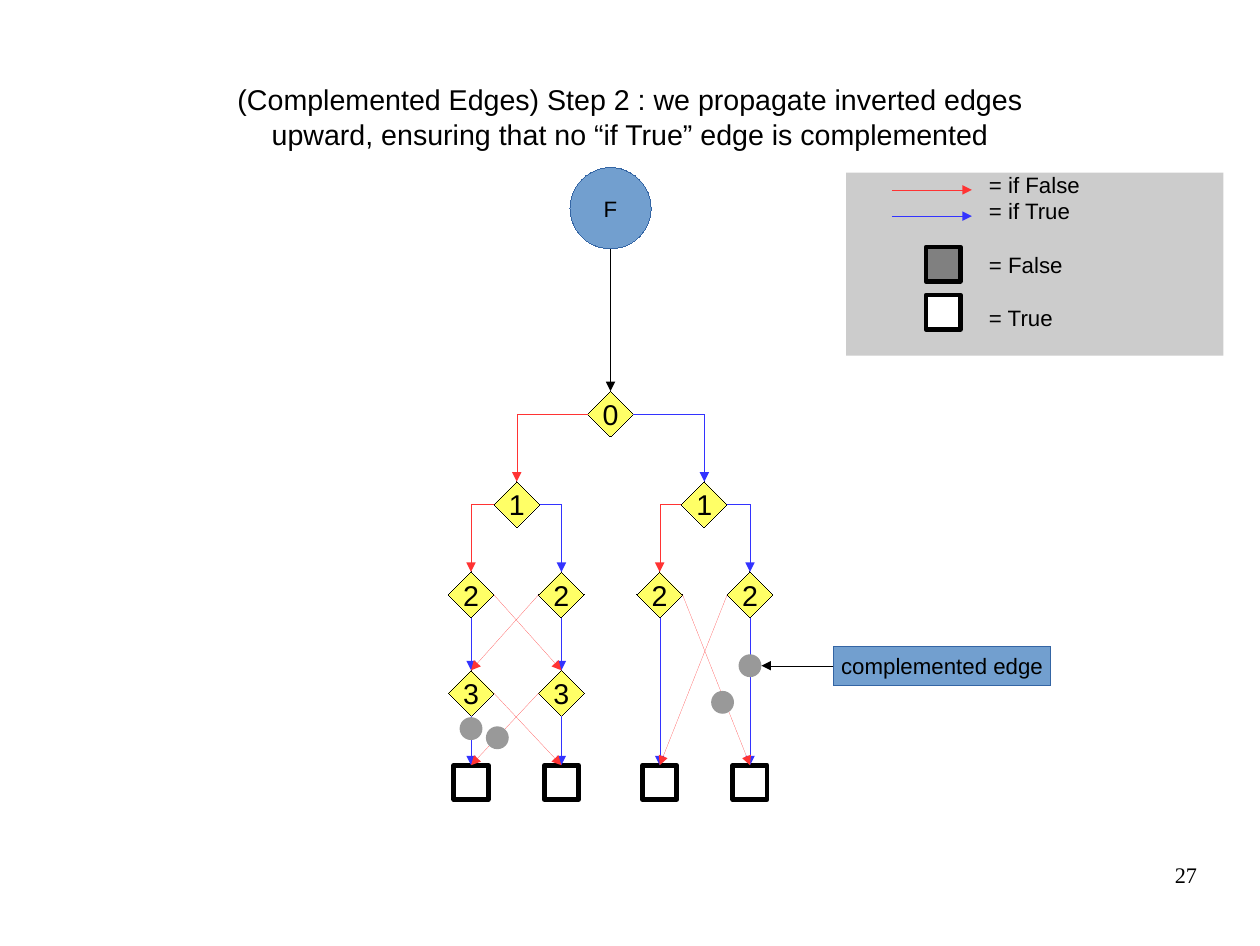
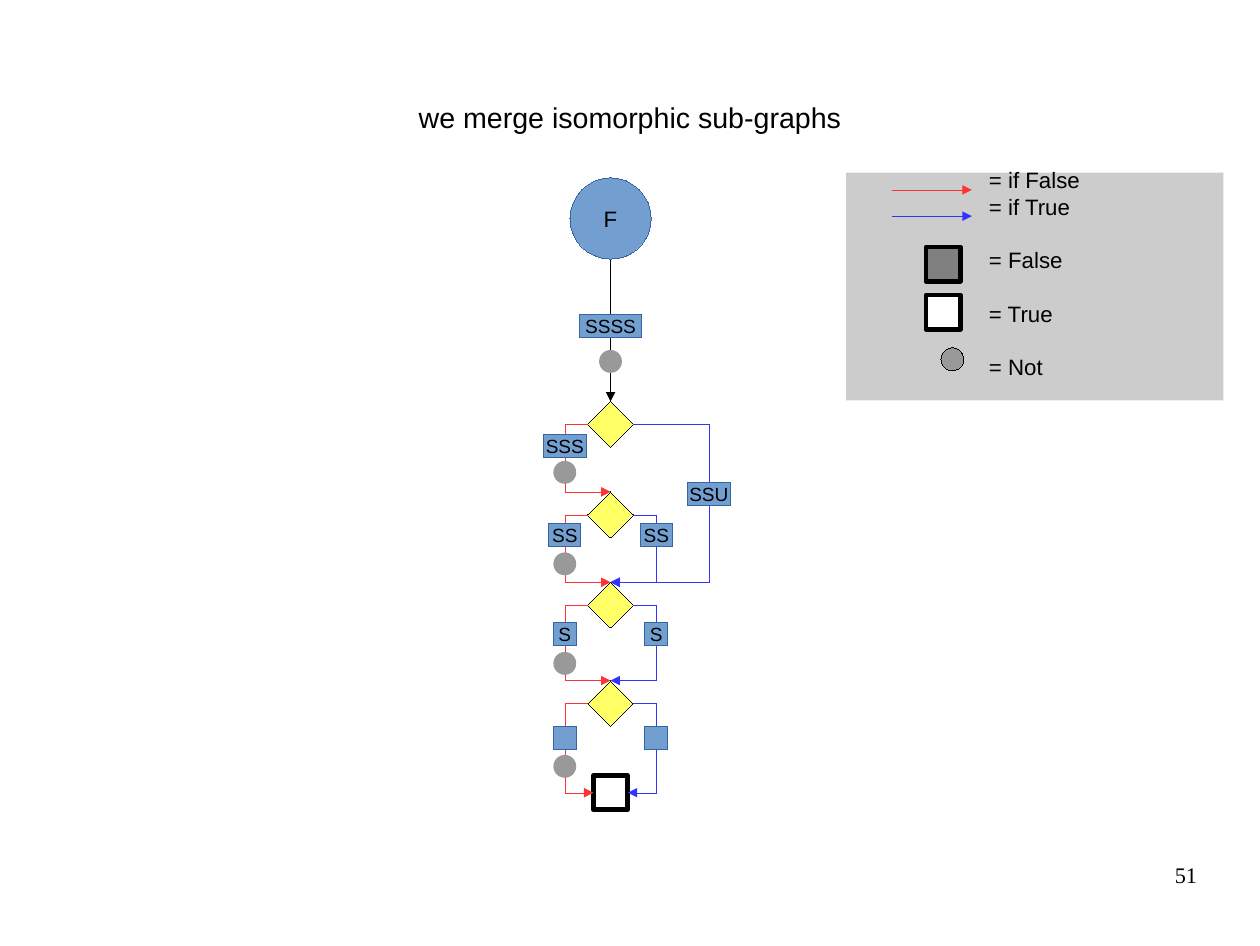
from dataclasses import dataclass

from lxml import etree
from pptx import Presentation
from pptx import util as u
from pptx.dml.color import RGBColor
from pptx.enum import shapes, text
from pptx.oxml.ns import qn


@dataclass(frozen=True)
class Theme:
    sans: str = "Arial"
    serif: str = "Times New Roman"
    black: str = "000000"
    white: str = "FFFFFF"
    blue: str = "729FCF"
    blue_edge: str = "3465A4"
    yellow: str = "FFFF66"
    panel: str = "CCCCCC"
    false_fill: str = "808080"
    inverter: str = "999999"
    if_true: str = "3333FF"
    if_false: str = "FF3333"
    title: int = 18
    label: int = 14
    tag: int = 12
    title_line: float = 22
    legend_line: float = 16.85


T = Theme()
FORM = shapes.MSO_SHAPE
TOP, LEFT, BOTTOM, RIGHT = range(4)
# Centre heights of the decision levels; the last one holds the terminals
LEVELS = (2.16, 2.95, 3.74, 4.6, 5.38)
COLUMNS = (0.2, 0.99, 1.85, 2.64)


def rgb(colour):
    return RGBColor.from_string(colour)


def style(frame, size, align, font=T.sans):
    for paragraph in frame.paragraphs:
        paragraph.alignment = align
        for run in paragraph.runs:
            run.font.size = u.Pt(size)
            run.font.name = font
            run.font.color.rgb = rgb(T.black)


def outline(shape, colour, width=0):
    """Set the line; a width of 0 is a hairline and must be explicit."""
    shape.line.color.rgb = rgb(colour)
    ln = shape.element.spPr.find(qn("a:ln"))
    ln.set("w", str(int(u.Pt(width))))
    return ln


def site(shape, side):
    """Point in the middle of one side of a shape."""
    across = {LEFT: 0, RIGHT: shape.width}.get(side, shape.width // 2)
    down = {TOP: 0, BOTTOM: shape.height}.get(side, shape.height // 2)
    return shape.left + across, shape.top + down


@dataclass
class Region:
    """Part of a slide; positions inside it count from its top left corner."""
    slide: object
    left: float
    top: float

    def point(self, x, y):
        return u.Inches(self.left + x), u.Inches(self.top + y)

    # Shapes, placed by their centre
    def shape(self, form, x, y, w, h, fill, edge=None, width=0, label="", size=T.label):
        shape = self.slide.shapes.add_shape(
            form, *self.point(x - w / 2, y - h / 2), u.Inches(w), u.Inches(h))
        shape.shadow.inherit = False
        shape.fill.solid()
        shape.fill.fore_color.rgb = rgb(fill)
        if edge:
            outline(shape, edge, width)
        else:
            shape.line.fill.background()
        if label:
            frame = shape.text_frame
            frame.text = label
            frame.word_wrap = False
            frame.vertical_anchor = text.MSO_ANCHOR.MIDDLE
            style(frame, size, text.PP_ALIGN.CENTER)
        return shape

    def function(self, x):
        return self.shape(FORM.OVAL, x, 0.36, 0.71, 0.71, T.blue, T.blue_edge, label="F")

    def decision(self, x, y, label=""):
        return self.shape(FORM.DIAMOND, x, y, 0.4, 0.4, T.yellow, T.black,
                          label=label, size=T.title)

    def terminal(self, x, y, fill=T.white):
        return self.shape(FORM.RECTANGLE, x, y, 0.3, 0.3, fill, T.black, 3)

    def inverter(self, x, y, edge=None):
        return self.shape(FORM.OVAL, x, y, 0.2, 0.2, T.inverter, edge)

    def tag(self, x, y, w, label, h=0.2, size=T.tag):
        return self.shape(FORM.RECTANGLE, x, y, w, h, T.blue, T.blue_edge,
                          label=label, size=size)

    # Arrows
    def connector(self, kind, start, end, colour):
        arrow = self.slide.shapes.add_connector(kind, *start, *end)
        ln = outline(arrow, colour)
        etree.SubElement(ln, qn("a:tailEnd"), type="triangle")
        etree.SubElement(arrow.element.spPr, qn("a:effectLst"))
        return arrow

    def arrow(self, start, end, colour):
        return self.connector(shapes.MSO_CONNECTOR.STRAIGHT,
                              self.point(*start), self.point(*end), colour)

    def link(self, source, source_side, target, target_side, colour,
             kind=shapes.MSO_CONNECTOR.STRAIGHT):
        arrow = self.connector(kind, site(source, source_side),
                               site(target, target_side), colour)
        arrow.begin_connect(source, source_side)
        arrow.end_connect(target, target_side)
        return arrow

    def corner(self, source, side, target, colour):
        """Sideways out of the source, then down onto the target."""
        arrow = self.link(source, side, target, TOP, colour, shapes.MSO_CONNECTOR.ELBOW)
        arrow.element.spPr.find(qn("a:prstGeom")).set("prst", "bentConnector2")

    def loop(self, source, side, target, target_side, colour, reach=0.2):
        """Out by the reach, down, and back in to the target."""
        arrow = self.link(source, side, target, target_side, colour,
                          shapes.MSO_CONNECTOR.ELBOW)
        span = abs(arrow.end_x - arrow.begin_x)
        bend = round(-100000 * u.Inches(reach) / span)
        geometry = arrow.element.spPr.find(qn("a:prstGeom"))
        guides = geometry.find(qn("a:avLst"))
        if guides is None:
            guides = etree.SubElement(geometry, qn("a:avLst"))
        etree.SubElement(guides, qn("a:gd"), name="adj1", fmla=f"val {bend}")


def base_slide(deck, heading, number):
    """Slide with the shared title and page number."""
    slide = deck.slides.add_slide(deck.slide_layouts[5])
    # Title
    title = slide.shapes.title
    title.left, title.top = u.Inches(0.55), u.Inches(0.33)
    title.width, title.height = u.Inches(9.92), u.Inches(1.38)
    frame = title.text_frame
    frame.text = heading
    frame.vertical_anchor = text.MSO_ANCHOR.MIDDLE
    frame.margin_left = frame.margin_right = frame.margin_top = frame.margin_bottom = 0
    frame.paragraphs[0].line_spacing = u.Pt(T.title_line)
    style(frame, T.title, text.PP_ALIGN.CENTER)
    # Page number
    page = slide.shapes.add_textbox(u.Inches(7.9), u.Inches(7.53),
                                    u.Inches(2.57), u.Inches(0.57)).text_frame
    page.text = number
    page.word_wrap = True
    page.margin_left = page.margin_right = page.margin_top = page.margin_bottom = 0
    style(page, T.label, text.PP_ALIGN.RIGHT, T.serif)
    return slide


def legend(slide, left, top, height, with_not=False):
    area = Region(slide, left, top)
    panel = area.shape(FORM.RECTANGLE, 1.65, height / 2, 3.3, height, T.panel)
    # Meanings
    meanings = ["= if False", "= if True", "= False", "= True"]
    frame = panel.text_frame
    frame.text = "\n".join(meanings + ["= Not"] * with_not)
    frame.word_wrap = True
    frame.vertical_anchor = text.MSO_ANCHOR.MIDDLE
    frame.margin_left, frame.margin_right = u.Inches(1.25), 0
    frame.margin_top, frame.margin_bottom = 0, u.Inches(0.23)
    for row, paragraph in enumerate(frame.paragraphs):
        paragraph.line_spacing = u.Pt(T.legend_line)
        paragraph.space_before = u.Pt(T.legend_line if row > 1 else 0)
    style(frame, T.label, text.PP_ALIGN.LEFT)
    # Symbols
    area.terminal(0.85, 1.22)
    area.terminal(0.85, 0.8, T.false_fill)
    for y, colour in ((0.38, T.if_true), (0.15, T.if_false)):
        area.arrow((0.4, y), (1.1, y), colour)
    if with_not:
        area.inverter(0.93, 1.63, T.black)


def decision_tree(slide, left, top):
    area = Region(slide, left, top)
    # Nodes by level
    area.function(1.42)
    root = area.decision(1.42, LEVELS[0], "0")
    ones = [area.decision(x, LEVELS[1], "1") for x in (0.6, 2.24)]
    twos = [area.decision(x, LEVELS[2], "2") for x in COLUMNS]
    threes = [area.decision(x, LEVELS[3], "3") for x in COLUMNS[:2]]
    ends = [area.terminal(x, LEVELS[4]) for x in COLUMNS]
    # Branching edges
    area.arrow((1.42, 0.72), (1.42, LEVELS[0] - 0.2), T.black)
    for parent, children in ((root, ones), (ones[0], twos[:2]), (ones[1], twos[2:])):
        area.corner(parent, LEFT, children[0], T.if_false)
        area.corner(parent, RIGHT, children[1], T.if_true)
    # Crossing edges
    for sources, targets in ((twos[:2], threes), (threes, ends[:2]), (twos[2:], ends[2:])):
        for source, target in zip(sources, targets):
            area.link(source, BOTTOM, target, TOP, T.if_true)
        area.link(sources[0], RIGHT, targets[1], TOP, T.if_false)
        area.link(sources[1], LEFT, targets[0], TOP, T.if_false)
    # Complemented edges and their callout
    for x, y in ((2.64, 4.36), (2.4, 4.68), (0.2, 4.91), (0.43, 4.99)):
        area.inverter(x, y)
    area.tag(4.32, 4.36, 1.9, "complemented edge", 0.34, T.label)
    area.arrow((3.37, 4.36), (2.74, 4.36), T.black)


def merged_graph(slide, left, top):
    area = Region(slide, left, top)
    axis, false_x, true_x = 0.6, 0.2, 1.0
    # Nodes
    area.function(axis)
    decisions = [area.decision(axis, y) for y in LEVELS[:4]]
    end = area.terminal(axis, LEVELS[4])
    # Edges
    area.arrow((axis, 0.72), (axis, LEVELS[0] - 0.2), T.black)
    for upper, lower in zip(decisions, decisions[1:]):
        area.loop(upper, LEFT, lower, TOP, T.if_false)
    for upper, lower, reach in ((0, 2, 0.66), (1, 2, 0.2), (2, 3, 0.2)):
        area.loop(decisions[upper], RIGHT, decisions[lower], TOP, T.if_true, reach)
    for side, colour in ((LEFT, T.if_false), (RIGHT, T.if_true)):
        area.loop(decisions[3], side, end, side, colour)
    # Inverters
    area.inverter(axis, 1.61)
    for y in (2.58, 3.38, 4.25, 5.15):
        area.inverter(false_x, y)
    # Edge tags
    area.tag(axis, 1.3, 0.55, "SSSS")
    area.tag(false_x, 2.35, 0.38, "SSS")
    area.tag(1.46, 2.77, 0.38, "SSU")
    for y, width, label in ((3.13, 0.28, "SS"), (3.99, 0.2, "S"), (4.9, 0.2, "")):
        for x in (false_x, true_x):
            area.tag(x, y, width, label)


def main():
    deck = Presentation()
    deck.slide_width, deck.slide_height = u.Inches(11.02), u.Inches(8.27)

    slide = base_slide(deck, "(Complemented Edges) Step 2 : we propagate inverted edges\v"
                             "upward, ensuring that no “if True” edge is complemented", "27")
    decision_tree(slide, 3.92, 1.46)
    legend(slide, 7.4, 1.51, 1.6)

    slide = base_slide(deck, "we merge isomorphic sub-graphs", "51")
    merged_graph(slide, 4.74, 1.55)
    legend(slide, 7.4, 1.51, 1.99, with_not=True)

    deck.save("out.pptx")


if __name__ == "__main__":
    main()
